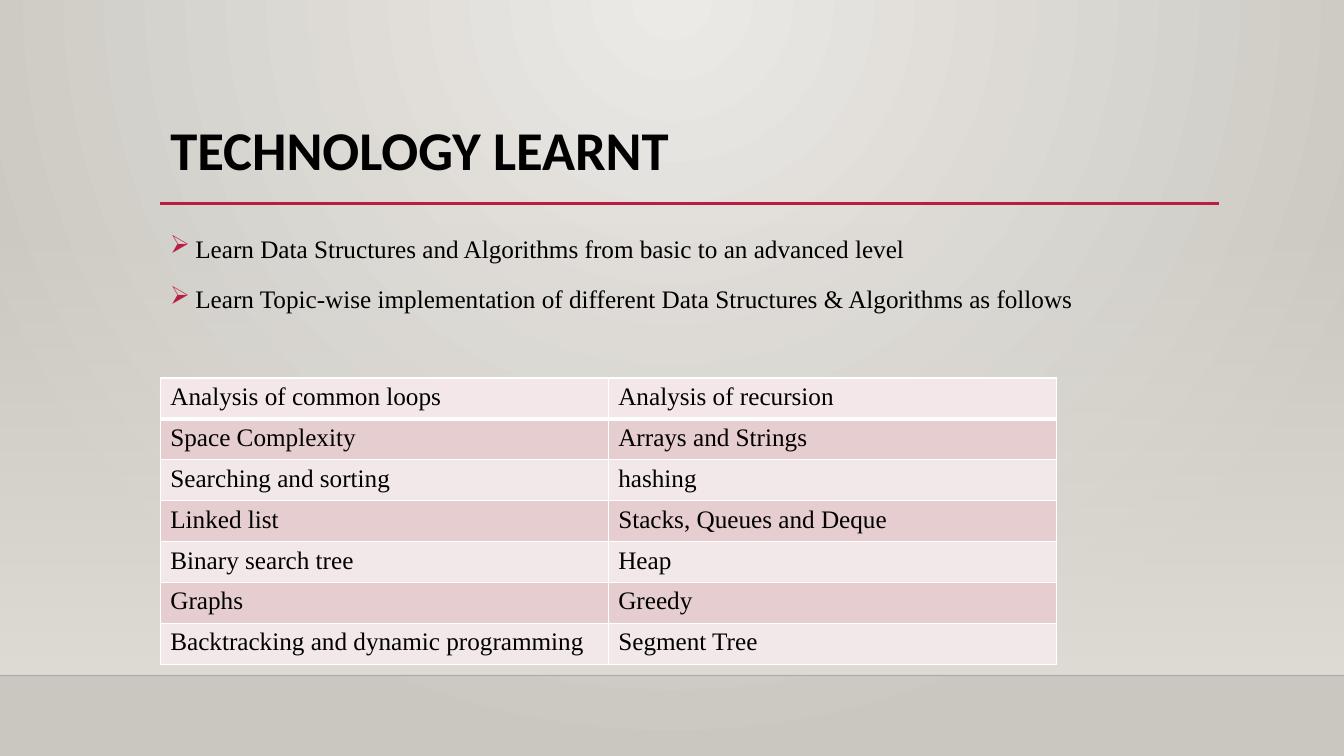
from pptx import Presentation
from pptx import util as u
from pptx.dml.color import RGBColor
from pptx.enum import shapes, text
from pptx.oxml import parse_xml
from pptx.oxml.ns import nsdecls, qn

Pt = u.Pt
NS = nsdecls("a")
LEFT, WIDTH = 114.5, 756


def rgb(value):
    return RGBColor.from_string(value)


def stop(pos, color, alpha=100):
    return (f'<a:gs pos="{pos * 1000}"><a:srgbClr val="{color}">'
            f'<a:alpha val="{alpha * 1000}"/></a:srgbClr></a:gs>')


def gradient(start, end, direction):
    return parse_xml(f'<a:gradFill {NS} rotWithShape="1"><a:gsLst>{start}{end}'
                     f'</a:gsLst>{direction}</a:gradFill>')


class Slide:
    black, accent, white = "000000", "B71E42", "FFFFFF"
    heading, body = "Calibri", "Times New Roman"
    header_fill, bands = "F3E7E9", ("F3E8E9", "E6CDCF")

    def __init__(self, prs):
        self.s = prs.slides.add_slide(prs.slide_layouts[5])

    def format(self, p, size, font, bold=False):
        for r in p.runs:
            r.font.size, r.font.name, r.font.bold = Pt(size), font, bold
            r.font.color.rgb = rgb(self.black)

    def swap_gradient(self, fill, element, new):
        fill.gradient()
        old = next(element.iter(qn("a:gradFill")))
        old.getparent().replace(old, new)

    def background(self, inner, outer):
        circle = ('<a:path path="circle"><a:fillToRect l="43000" t="0" '
                  'r="43000" b="100000"/></a:path>')
        self.swap_gradient(self.s.background.fill, self.s.element,
                           gradient(stop(0, inner), stop(100, outer), circle))

    def fade(self, x, y, w, h, color):
        sp = self.s.shapes.add_shape(shapes.MSO_SHAPE.RECTANGLE,
                                     Pt(x), Pt(y), Pt(w), Pt(h))
        sp.shadow.inherit = False
        sp.line.fill.background()
        self.swap_gradient(sp.fill, sp._element,
                           gradient(stop(0, color, 0), stop(100, color),
                                    '<a:lin ang="5400000" scaled="0"/>'))

    def rule(self, x, y, w, color, weight, alpha=100):
        ln = self.s.shapes.add_connector(shapes.MSO_CONNECTOR.STRAIGHT,
                                         Pt(x), Pt(y), Pt(x + w), Pt(y))
        ln.line.color.rgb, ln.line.width = rgb(color), Pt(weight)
        ln._element.spPr.append(parse_xml(f"<a:effectLst {NS}/>"))
        clr = next(ln._element.spPr.iter(qn("a:srgbClr")))
        clr.append(parse_xml(f'<a:alpha {NS} val="{alpha * 1000}"/>'))

    def title(self, x, y, w, h, words):
        sp = self.s.shapes.title
        sp.left, sp.top, sp.width, sp.height = Pt(x), Pt(y), Pt(w), Pt(h)
        tf = sp.text_frame
        tf.text = words
        tf.vertical_anchor = text.MSO_ANCHOR.MIDDLE
        p = tf.paragraphs[0]
        p.alignment, p.line_spacing = text.PP_ALIGN.LEFT, 0.9
        self.format(p, 39, self.heading, bold=True)

    def bullets(self, x, y, w, h, lines):
        tf = self.s.shapes.add_textbox(Pt(x), Pt(y), Pt(w), Pt(h)).text_frame
        tf.word_wrap = True
        tf.text = "\n".join(lines)
        for p in tf.paragraphs:
            p.alignment, p.line_spacing = text.PP_ALIGN.JUSTIFY, 1.2
            p.space_before = Pt(10)
            self.format(p, 18, self.body)
            pPr = p._p.get_or_add_pPr()
            pPr.set("marL", str(Pt(18)))
            pPr.set("indent", str(-Pt(18)))
            pPr.append(parse_xml(f'<a:buClr {NS}><a:srgbClr val="{self.accent}"/></a:buClr>'))
            pPr.append(parse_xml(f'<a:buChar {NS} char="➢"/>'))

    def borders(self, cell, top, bottom):
        sides = {"lnL": 1, "lnR": 1, "lnT": top, "lnB": bottom}
        for i, (side, weight) in enumerate(sides.items()):
            cell._tc.get_or_add_tcPr().insert(i, parse_xml(
                f'<a:{side} {NS} w="{Pt(weight)}"><a:solidFill>'
                f'<a:srgbClr val="{self.white}"/></a:solidFill></a:{side}>'))

    def table(self, x, y, w, row_h, rows):
        tb = self.s.shapes.add_table(len(rows), len(rows[0]), Pt(x), Pt(y),
                                     Pt(w), Pt(row_h * len(rows))).table
        for i, row in enumerate(rows):
            for j, words in enumerate(row):
                cell = tb.cell(i, j)
                cell.text = words
                self.format(cell.text_frame.paragraphs[0], 18, self.body)
                cell.fill.solid()
                cell.fill.fore_color.rgb = rgb(self.bands[i % 2] if i else self.header_fill)
                self.borders(cell, 3 if i == 1 else 1, 3 if i == 0 else 1)


def main():
    prs = Presentation()
    prs.slide_width, prs.slide_height = Pt(960), Pt(540)
    slide = Slide(prs)

    # Backdrop and floor line
    slide.background("ECEAE7", "CAC7C1")
    slide.fade(0, 159, 960, 323.5, "DFDBD5")
    slide.rule(0, 482.5, 960, "000001", 1, alpha=20)

    # Heading
    slide.rule(LEFT, 145.5, WIDTH, slide.accent, 2.5)
    slide.title(LEFT, 84, WIDTH, 50.5, "TECHNOLOGY LEARNT")

    # Goals
    slide.bullets(LEFT, 158.5, WIDTH, 271.5, [
        "Learn Data Structures and Algorithms from basic to an advanced level",
        "Learn Topic-wise implementation of different Data Structures & Algorithms as follows",
    ])

    # Topics
    slide.table(LEFT, 270, 640, 29.2, [
        ("Analysis of common loops", "Analysis of recursion"),
        ("Space Complexity", "Arrays and Strings"),
        ("Searching and sorting", "hashing"),
        ("Linked list", "Stacks, Queues and Deque"),
        ("Binary search tree", "Heap"),
        ("Graphs", "Greedy"),
        ("Backtracking and dynamic programming", "Segment Tree"),
    ])
    prs.save("out.pptx")


if __name__ == "__main__":
    main()
